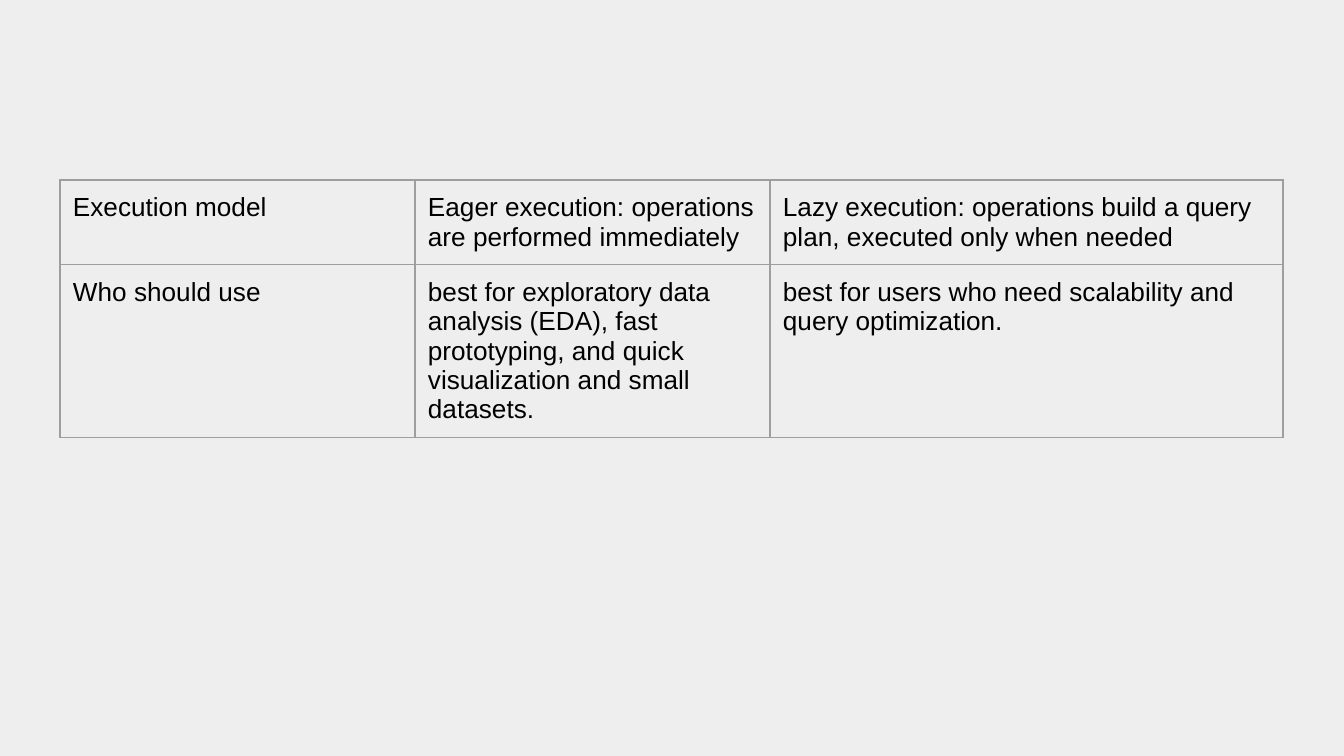
from lxml.etree import SubElement
from pptx import Presentation
from pptx.dml.color import RGBColor
from pptx.enum.text import MSO_ANCHOR, PP_ALIGN
from pptx.oxml.ns import qn
from pptx.util import Emu, Pt

EMU_PER_PX = 914400 / 134.4
SLIDE_SIZE = (1344, 756)
BACKGROUND = "EEEEEE"
BORDER = {"color": "9E9E9E", "width": Pt(0.75)}
FONT = {"name": "Arial", "size": Pt(14), "bold": False}
TEXT_COLOR = "000000"

TABLE_LEFT, TABLE_TOP = 60, 180
COLUMN_WIDTHS = (355, 355, 513)
ROW_HEIGHT = 56  # minimum; rows grow with their text
CELL_MARGIN = 13
ROWS = (
    (
        "Execution model",
        "Eager execution: operations are performed immediately",
        "Lazy execution: operations build a query plan, executed only when needed",
    ),
    (
        "Who should use",
        "best for exploratory data analysis (EDA), fast prototyping, "
        "and quick visualization and small datasets.",
        "best for users who need scalability and query optimization.",
    ),
)


def px(length):
    return Emu(round(length * EMU_PER_PX))


def rgb(value):
    return RGBColor.from_string(value)


def set_attributes(target, values):
    for name, value in values.items():
        setattr(target, name, value)


def set_borders(cell):
    properties = cell._tc.get_or_add_tcPr()
    for side in ("lnL", "lnR", "lnT", "lnB"):
        line = SubElement(properties, qn(f"a:{side}"), w=str(BORDER["width"]))
        fill = SubElement(line, qn("a:solidFill"))
        SubElement(fill, qn("a:srgbClr"), val=BORDER["color"])


def fill_cell(cell, text):
    # Borders must come before the fill in the cell properties
    set_borders(cell)
    cell.fill.background()
    cell.vertical_anchor = MSO_ANCHOR.TOP
    sides = ("left", "right", "top", "bottom")
    set_attributes(cell, {f"margin_{side}": px(CELL_MARGIN) for side in sides})

    paragraph = cell.text_frame.paragraphs[0]
    paragraph.alignment = PP_ALIGN.LEFT
    run = paragraph.add_run()
    run.text = text
    set_attributes(run.font, FONT)
    run.font.color.rgb = rgb(TEXT_COLOR)


def add_comparison_table(slide):
    table = slide.shapes.add_table(
        len(ROWS), len(COLUMN_WIDTHS), px(TABLE_LEFT), px(TABLE_TOP),
        px(sum(COLUMN_WIDTHS)), px(ROW_HEIGHT * len(ROWS)),
    ).table
    set_attributes(table, {"first_row": False, "horz_banding": False})
    for column, width in zip(table.columns, COLUMN_WIDTHS):
        column.width = px(width)
    for row, texts in zip(table.rows, ROWS):
        row.height = px(ROW_HEIGHT)
        for cell, text in zip(row.cells, texts):
            fill_cell(cell, text)


def main():
    presentation = Presentation()
    presentation.slide_width, presentation.slide_height = map(px, SLIDE_SIZE)
    slide = presentation.slides.add_slide(presentation.slide_layouts[6])

    # Background
    background = slide.background.fill
    background.solid()
    background.fore_color.rgb = rgb(BACKGROUND)

    # Comparison of the two execution models
    add_comparison_table(slide)
    presentation.save("out.pptx")


if __name__ == "__main__":
    main()
